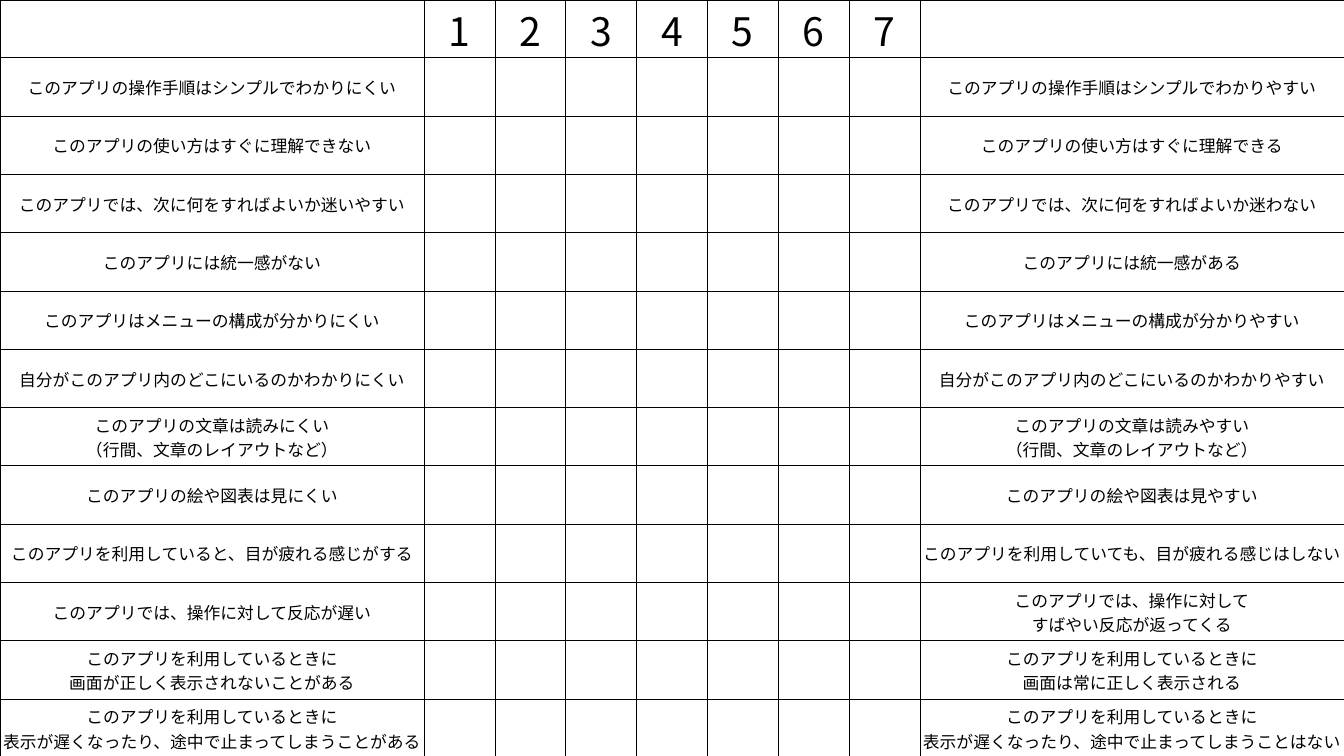
import pptx
import pptx.util
import pptx.dml.color
import pptx.enum.text
import pptx.oxml.ns
import lxml.etree

SCALE = 914400 / 100.8
FONT = "Noto Sans CJK JP"
BLACK, WHITE = "000000", "FFFFFF"
PAGE_WIDTH, PAGE_HEIGHT = 1344, 756
TABLE_HEIGHT, HEADER_HEIGHT, STATEMENT_WIDTH = 757, 57, 424
SCORES = [str(score) for score in range(1, 8)]
STATEMENTS = [
    ("このアプリの操作手順はシンプルでわかりにくい", "このアプリの操作手順はシンプルでわかりやすい"),
    ("このアプリの使い方はすぐに理解できない", "このアプリの使い方はすぐに理解できる"),
    ("このアプリでは、次に何をすればよいか迷いやすい", "このアプリでは、次に何をすればよいか迷わない"),
    ("このアプリには統一感がない", "このアプリには統一感がある"),
    ("このアプリはメニューの構成が分かりにくい", "このアプリはメニューの構成が分かりやすい"),
    ("自分がこのアプリ内のどこにいるのかわかりにくい", "自分がこのアプリ内のどこにいるのかわかりやすい"),
    ("このアプリの文章は読みにくい\n(行間、文章のレイアウトなど)".replace("(", "（").replace(")", "）"),
     "このアプリの文章は読みやすい\n（行間、文章のレイアウトなど）"),
    ("このアプリの絵や図表は見にくい", "このアプリの絵や図表は見やすい"),
    ("このアプリを利用していると、目が疲れる感じがする", "このアプリを利用していても、目が疲れる感じはしない"),
    ("このアプリでは、操作に対して反応が遅い", "このアプリでは、操作に対して\nすばやい反応が返ってくる"),
    ("このアプリを利用しているときに\n画面が正しく表示されないことがある",
     "このアプリを利用しているときに\n画面は常に正しく表示される"),
    ("このアプリを利用しているときに\n表示が遅くなったり、途中で止まってしまうことがある",
     "このアプリを利用しているときに\n表示が遅くなったり、途中で止まってしまうことはない"),
]


def px(length):
    return pptx.util.Emu(round(length * SCALE))


def color(value):
    return pptx.dml.color.RGBColor.from_string(value)


def add_child(parent, tag, **attributes):
    return lxml.etree.SubElement(parent, pptx.oxml.ns.qn(tag), attributes)


def write_text(frame, text, size, ink=BLACK, align=pptx.enum.text.PP_ALIGN.CENTER):
    for index, line in enumerate(text.split("\n")):
        para = frame.add_paragraph() if index else frame.paragraphs[0]
        para.alignment = align
        span = para.add_run()
        span.text = line
        span.font.size = pptx.util.Pt(size)
        span.font.name = FONT
        span.font.color.rgb = color(ink)
        add_child(span.font._element, "a:ea", typeface=FONT)


def format_cell(cell, anchor, line_width=0.5):
    cell.vertical_anchor = anchor
    cell.margin_left = cell.margin_right = cell.margin_top = px(1)
    cell.margin_bottom = 0
    properties = cell._tc.get_or_add_tcPr()
    for side in "LRTB":
        line = add_child(properties, f"a:ln{side}", w=str(pptx.util.Pt(line_width)))
        add_child(add_child(line, "a:solidFill"), "a:srgbClr", val=BLACK)
    cell.fill.solid()
    cell.fill.fore_color.rgb = color(WHITE)


def add_questionnaire(page, box):
    left, top, width, height = box
    rows = [["", *SCORES, ""]]
    rows += [[negative, *[""] * len(SCORES), positive] for negative, positive in STATEMENTS]
    frame = page.shapes.add_table(len(rows), len(rows[0]), px(left), px(top), px(width), px(height))
    table = frame.table
    table.first_row = table.horz_banding = False

    score_width = (width - 2 * STATEMENT_WIDTH) / len(SCORES)
    widths = [STATEMENT_WIDTH, *[score_width] * len(SCORES), STATEMENT_WIDTH]
    for column, column_width in zip(table.columns, widths):
        column.width = px(column_width)

    statement_height = (height - HEADER_HEIGHT) / len(STATEMENTS)
    for index, texts in enumerate(rows):
        table.rows[index].height = px(statement_height if index else HEADER_HEIGHT)
        anchor = pptx.enum.text.MSO_ANCHOR.MIDDLE if index else pptx.enum.text.MSO_ANCHOR.BOTTOM
        for cell, text in zip(table.rows[index].cells, texts):
            format_cell(cell, anchor)
            if text:
                write_text(cell.text_frame, text, size=12 if index else 28)


deck = pptx.Presentation()
deck.slide_width, deck.slide_height = px(PAGE_WIDTH), px(PAGE_HEIGHT)
page = deck.slides.add_slide(deck.slide_layouts[6])
add_questionnaire(page, (0, 0, PAGE_WIDTH, TABLE_HEIGHT))
deck.save("out.pptx")
